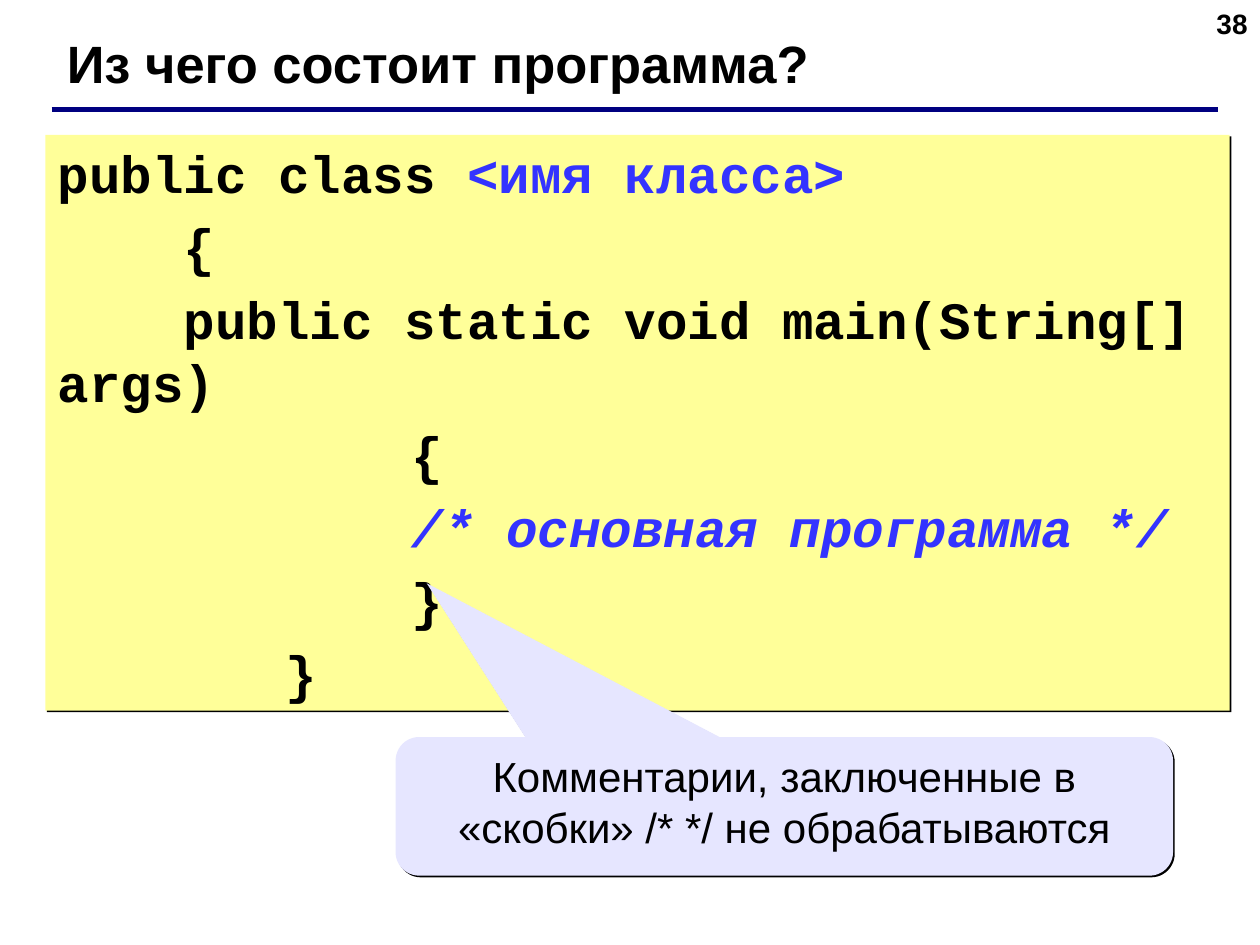
from dataclasses import dataclass

from lxml import etree
from pptx import Presentation
from pptx import util as u
from pptx.dml.color import RGBColor
from pptx.enum import shapes, text
from pptx.oxml import ns


@dataclass(frozen=True)
class Theme:
    ink: str = "000000"
    rule: str = "000080"
    mark: str = "3333FF"
    paper: str = "FFFF99"
    note: str = "E6E6FF"
    sans: str = "Arial"
    mono: str = "Courier New"
    head: int = 30
    body: int = 24
    page: int = 16


@dataclass(frozen=True)
class Run:
    text: str
    color: str = Theme.ink
    slant: bool = False


@dataclass(frozen=True)
class Line:
    runs: tuple[Run, ...]
    left: float = 0
    first: float = 0


T = Theme()
ALIGN = text.PP_ALIGN
ANCHOR = text.MSO_ANCHOR

CODE = (
    Line((Run("public class "), Run("<имя класса>", T.mark))),
    Line((Run("\t{"),)),
    Line((Run("\tpublic static void main(String[] args)"),)),
    Line((Run("\t\t\t{"),), 0.81, -0.31),
    Line((Run(" \t\t"), Run("/* основная программа */", T.mark, True)), 0.81),
    Line((Run("\t\t}"),), 0.81),
    Line((Run("\t}"),), 0.81),
)


def box(left: float, top: float, width: float, height: float) -> tuple:
    return tuple(map(u.Inches, (left, top, width, height)))


def apply(item, form: dict) -> None:
    for key, value in form.items():
        setattr(item, key, value)


def frame(shape, anchor=ANCHOR.TOP, top: float = 0.05, low: float = 0.05):
    body = shape.text_frame
    apply(body, {
        "word_wrap": True, "auto_size": text.MSO_AUTO_SIZE.NONE,
        "vertical_anchor": anchor,
        "margin_left": u.Inches(0.1), "margin_right": u.Inches(0.1),
        "margin_top": u.Inches(top), "margin_bottom": u.Inches(low),
    })
    return body


def write(para, run: Run, face: str, size: int, bold: bool) -> None:
    part = para.add_run()
    part.text = run.text
    apply(part.font, {"name": face, "size": u.Pt(size), "bold": bold,
                      "italic": run.slant})
    part.font.color.rgb = RGBColor.from_string(run.color)


def label(shape, words: str, size: int, bold: bool, align, **form) -> None:
    para = frame(shape, **form).paragraphs[0]
    para.alignment = align
    write(para, Run(words), T.sans, size, bold)


def panel(slide, kind, area: tuple, fill: str):
    """Add a borderless shape with a thin hard shadow."""
    shape = slide.shapes.add_shape(kind, *area)
    shape.fill.solid()
    shape.fill.fore_color.rgb = RGBColor.from_string(fill)
    shape.line.fill.background()
    shape.shadow.inherit = False
    effect = shape._element.spPr.find(ns.qn("a:effectLst"))
    shade = etree.SubElement(effect, ns.qn("a:outerShdw"), blurRad="0",
                             dist=str(u.Pt(1.4)), dir="2700000", algn="tl",
                             rotWithShape="0")
    etree.SubElement(shade, ns.qn("a:srgbClr"), val=T.ink)
    return shape


def indent(para, line: Line) -> None:
    """Set the indents and a tab stop at every inch."""
    props = para._p.get_or_add_pPr()
    for key, value in (("marL", line.left), ("indent", line.first),
                       ("defTabSz", 1)):
        props.set(key, str(u.Inches(value)))
    tabs = etree.SubElement(props, ns.qn("a:tabLst"))
    for inch in range(8):
        etree.SubElement(tabs, ns.qn("a:tab"), pos=str(u.Inches(inch)), algn="l")


def listing(shape, lines: tuple[Line, ...]) -> None:
    body = frame(shape)
    for num, line in enumerate(lines):
        para = body.add_paragraph() if num else body.paragraphs[0]
        indent(para, line)
        para.alignment = ALIGN.LEFT
        if num:
            para.space_before = u.Pt(5.6)
        for run in line.runs:
            write(para, run, T.mono, T.head, True)


def main() -> None:
    deck = Presentation()
    apply(deck, {"slide_width": u.Inches(10), "slide_height": u.Inches(7.5)})
    slide = deck.slides.add_slide(deck.slide_layouts[5])

    # Title
    title = slide.shapes.title
    apply(title, dict(zip(("left", "top", "width", "height"),
                          box(0.43, 0.21, 8.9, 0.6))))
    label(title, "Из чего состоит программа?", T.head, True, ALIGN.LEFT, top=0.04)

    # Page number
    page = slide.shapes.add_textbox(*box(7.67, 0, 2.33, 0.52))
    label(page, "38", T.page, True, ALIGN.RIGHT)

    # Rule under the title
    rule = slide.shapes.add_connector(shapes.MSO_CONNECTOR.STRAIGHT,
                                      *box(0.41, 0.87, 9.67, 0.87))
    rule.line.color.rgb = RGBColor.from_string(T.rule)
    rule.line.width = u.Pt(3)
    etree.SubElement(rule._element.spPr, ns.qn("a:effectLst"))

    # Code listing
    kinds = shapes.MSO_SHAPE
    code = panel(slide, kinds.RECTANGLE, box(0.36, 1.07, 9.4, 4.57), T.paper)
    listing(code, CODE)

    # Callout on comments
    note = panel(slide, kinds.ROUNDED_RECTANGULAR_CALLOUT,
                 box(3.14, 5.85, 6.17, 1.1), T.note)
    for num, value in enumerate((-0.46, -1.61, 0.17)):
        note.adjustments[num] = value
    label(note, "Комментарии, заключенные в «скобки» /* */ не обрабатываются",
          T.body, False, ALIGN.CENTER, anchor=ANCHOR.MIDDLE, low=0.13)

    deck.save("out.pptx")


if __name__ == "__main__":
    main()
